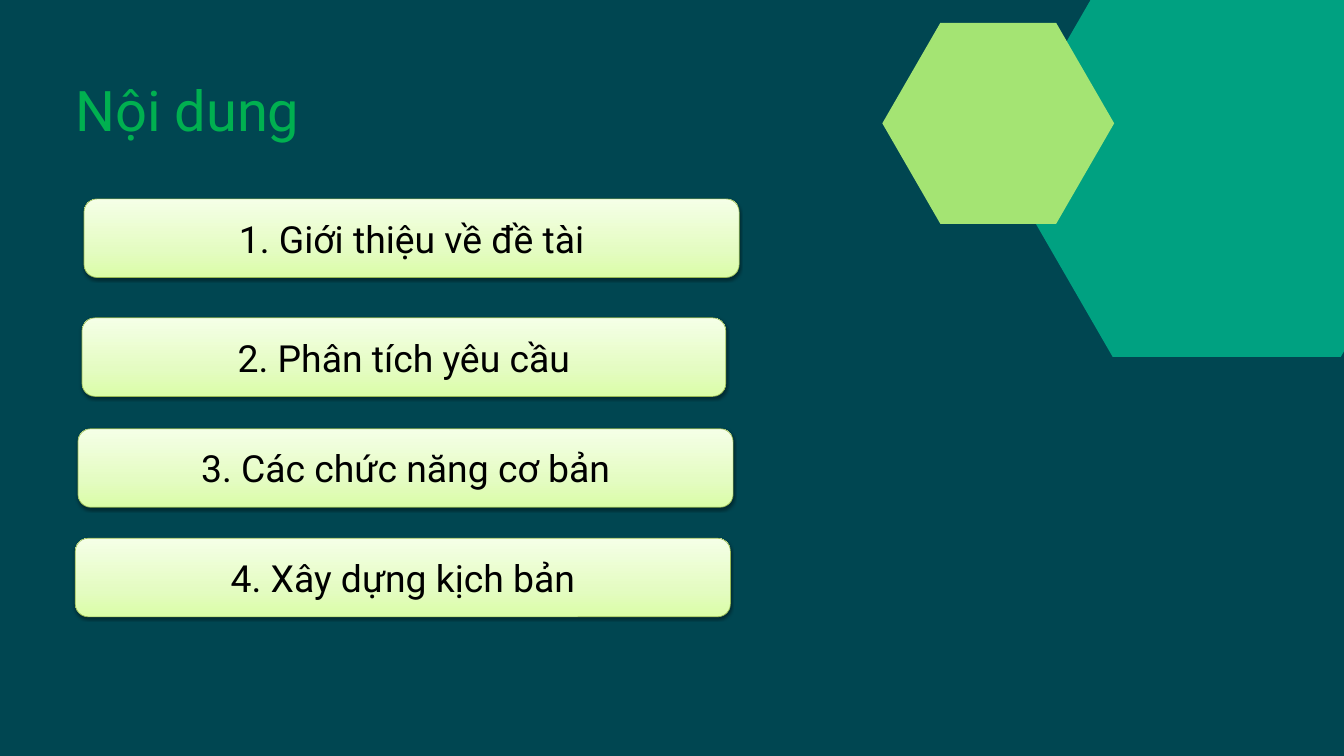
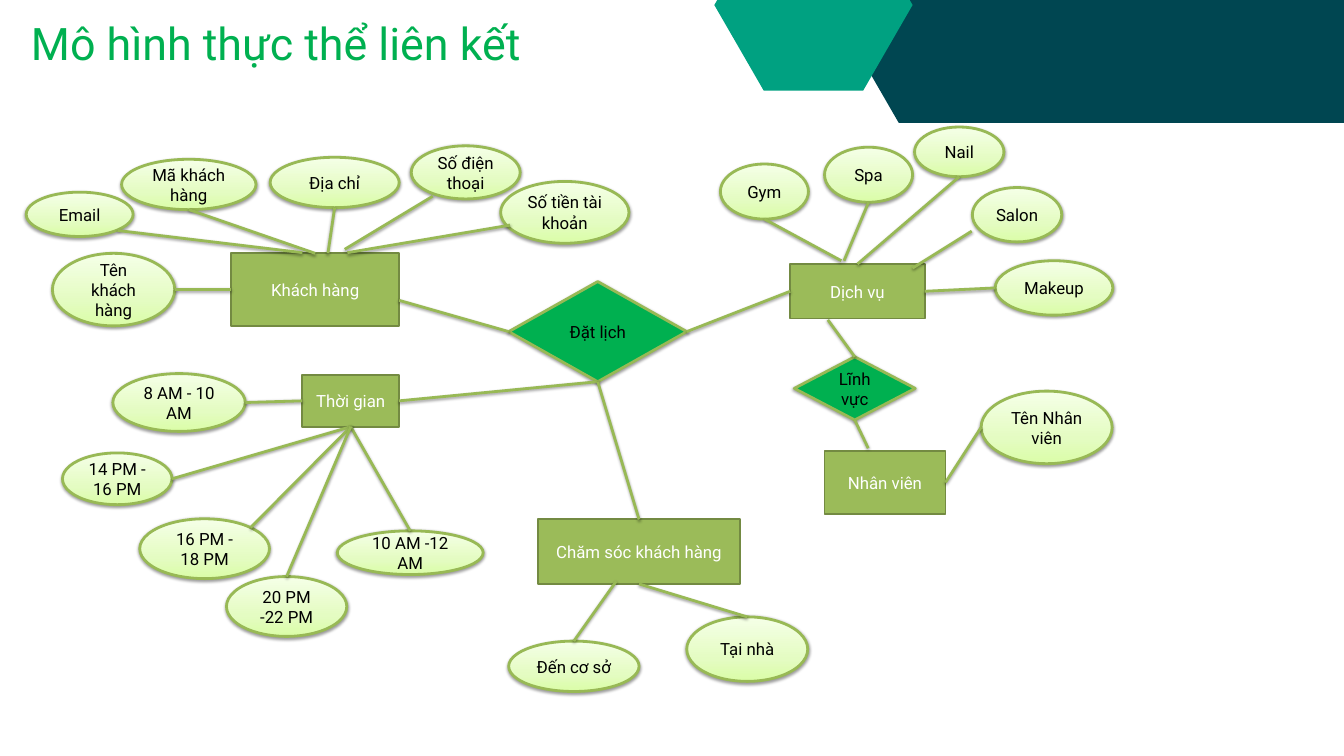
from copy import deepcopy
from math import sqrt

from pptx import Presentation
from pptx.dml.color import RGBColor
from pptx.enum.shapes import MSO_CONNECTOR, MSO_SHAPE as Shape
from pptx.enum.text import MSO_ANCHOR as Anchor, MSO_AUTO_SIZE as AutoSize, PP_ALIGN as Align
from pptx.oxml import parse_xml
from pptx.oxml.ns import nsdecls, qn
from pptx.util import Cm, Pt

FONT = "Roboto"
COLORS = {
    "night": "004651", "white": "FFFFFF", "black": "000000",
    "teal": "00A181", "lime": "A4E473", "green": "00B050",
    "olive": "9BBB59", "olive_edge": "738A42", "leaf_edge": "98B955",
}
LEAF_STOPS = [(0, "DAFDA7"), (0.35, "E4FCC2"), (1, "F5FFE7")]
SHADOW = (
    f'<a:effectLst {nsdecls("a")}>'
    '<a:outerShdw blurRad="40000" dist="20000" dir="5400000" rotWithShape="0">'
    '<a:srgbClr val="000000"><a:alpha val="38000"/></a:srgbClr>'
    '</a:outerShdw></a:effectLst>'
)
TOP, LEFT, BOTTOM, RIGHT = range(4)
SIDE_OFFSETS = {TOP: (0.5, 0), LEFT: (0, 0.5), BOTTOM: (0.5, 1), RIGHT: (1, 0.5)}


def color(name):
    return RGBColor.from_string(COLORS[name])


def inches(*values):
    return [Cm(2.54 * v) for v in values]


class Deck:
    def __init__(self):
        self.prs = Presentation()
        self.prs.slide_width, self.prs.slide_height = inches(20, 11.25)
        self.s = None
        self.nodes = {}

    def slide(self, background):
        self.s = self.prs.slides.add_slide(self.prs.slide_layouts[5])
        self.s.background.fill.solid()
        self.s.background.fill.fore_color.rgb = color(background)
        self.nodes = {}

    def label(self, tf, text, size, fill, align, anchor):
        tf.text = text
        tf.word_wrap = True
        tf.vertical_anchor = anchor
        p = tf.paragraphs[0]
        p.alignment = align
        font = p.runs[0].font
        font.name, font.size, font.color.rgb = FONT, Pt(size), color(fill)

    def title(self, text, box, size, margins=None):
        sp = self.s.shapes.title
        sp.left, sp.top, sp.width, sp.height = inches(*box)
        tf = sp.text_frame
        self.label(tf, text, size, "green", Align.LEFT, Anchor.TOP)
        tf.auto_size = AutoSize.NONE
        if margins is not None:
            tf.margin_left = tf.margin_top = tf.margin_right = tf.margin_bottom = margins

    def hexagon(self, x, y, w, h, fill):
        """Flat-topped hexagon with 60 degree slanted sides."""
        inset = h / sqrt(3) / 2
        right, middle, bottom = x + w, y + h / 2, y + h
        corners = [(right, middle), (right - inset, bottom), (x + inset, bottom),
                   (x, middle), (x + inset, y), (right - inset, y)]
        points = [inches(*corner) for corner in corners]
        builder = self.s.shapes.build_freeform(*points[0])
        builder.add_line_segments(points[1:], close=True)
        sp = builder.convert_to_shape()
        sp.shadow.inherit = False
        sp.fill.solid()
        sp.fill.fore_color.rgb = color(fill)
        sp.line.fill.background()

    def block(self, kind, text, box, size=18, fill=None, edge="leaf_edge",
              edge_width=3, ink="black", shadow=True):
        """Labelled shape; without a fill colour it gets the leaf gradient."""
        sp = self.s.shapes.add_shape(kind, *inches(*box))
        if fill:
            sp.fill.solid()
            sp.fill.fore_color.rgb = color(fill)
        else:
            self.leaf_fill(sp)
        sp.line.color.rgb, sp.line.width = color(edge), Pt(edge_width)
        if shadow:
            sp._element.spPr.append(parse_xml(SHADOW))
        else:
            sp.shadow.inherit = False
        self.label(sp.text_frame, text, size, ink, Align.CENTER, Anchor.MIDDLE)
        self.nodes[text] = sp

    def leaf_fill(self, sp):
        sp.fill.gradient()
        sp.fill.gradient_angle = 90
        stops = sp._element.spPr.find(".//" + qn("a:gsLst"))
        stops.insert(1, deepcopy(stops[0]))
        for stop, (position, hex_color) in zip(sp.fill.gradient_stops, LEAF_STOPS):
            stop.position = position
            stop.color.rgb = RGBColor.from_string(hex_color)

    def entity(self, text, box):
        self.block(Shape.RECTANGLE, text, box, fill="olive", edge="olive_edge",
                   edge_width=2, ink="white", shadow=False)

    def attribute(self, text, box):
        self.block(Shape.OVAL, text, box)

    def relation(self, kind, text, box):
        self.block(kind, text, box, fill="green")

    def locate(self, end):
        """Point of an end given as (x, y) or as (node text, side)."""
        if end[0] not in self.nodes:
            return inches(*end)
        sp = self.nodes[end[0]]
        dx, dy = SIDE_OFFSETS[end[1]]
        return [int(sp.left + dx * sp.width), int(sp.top + dy * sp.height)]

    def link(self, start, end):
        cx = self.s.shapes.add_connector(
            MSO_CONNECTOR.STRAIGHT, *self.locate(start), *self.locate(end))
        for (name, side), connect in ((start, cx.begin_connect), (end, cx.end_connect)):
            sp = self.nodes.get(name)
            if sp is not None and sp.auto_shape_type != Shape.OVAL:
                connect(sp, side)
        cx.line.color.rgb, cx.line.width = color("leaf_edge"), Pt(3)
        cx._element.spPr.append(parse_xml(SHADOW))


def contents_slide(deck):
    deck.slide("night")
    deck.hexagon(14.86, -0.57, 6.79, 5.88, "teal")
    deck.hexagon(13.13, 0.34, 3.45, 2.99, "lime")
    deck.title("Nội dung", (1.12, 1.12, 9.42, 1.01), 60, margins=0)
    for text, x, y, w in [
        ("1. Giới thiệu về đề tài", 1.25, 2.96, 9.75),
        ("2. Phân tích yêu cầu", 1.22, 4.73, 9.58),
        ("3. Các chức năng cơ bản", 1.16, 6.38, 9.75),
        ("4. Xây dựng kịch bản", 1.12, 8.01, 9.75),
    ]:
        deck.block(Shape.ROUNDED_RECTANGLE, text, (x, y, w, 1.17), size=40, edge_width=0.75)


def entity_slide(deck):
    deck.slide("white")
    deck.hexagon(11.41, -4.98, 10.74, 6.81, "night")
    deck.hexagon(10.63, -1.2, 2.95, 2.55, "teal")
    deck.title("Mô hình thực thể liên kết", (0.36, 0.19, 10.25, 1.72), 48)

    customer, care, staff = "Khách hàng", "Chăm sóc khách hàng", "Nhân viên"
    service, time = "Dịch vụ", "Thời gian"
    booking, field = "Đặt lịch", "Lĩnh vực"

    for text, *box in [
        (customer, 3.44, 3.77, 2.5, 1.08),
        (care, 8.01, 7.73, 3, 0.96),
        (staff, 12.27, 6.71, 1.8, 0.94),
        (service, 11.76, 3.93, 2, 0.81),
        (time, 4.5, 5.58, 1.44, 0.77),
    ]:
        deck.entity(text, box)

    for text, *box in [
        ("Mã khách hàng", 1.81, 2.37, 2, 0.75),
        ("Tên khách hàng", 0.78, 3.77, 1.82, 1.08),
        ("Địa chỉ", 4.02, 2.34, 1.92, 0.75),
        ("Số điện thoại", 6.12, 2.17, 1.62, 0.79),
        ("Số tiền tài khoản", 7.45, 2.7, 1.91, 0.92),
        ("Email", 0.39, 2.86, 1.59, 0.66),
        ("Gym", 10.72, 2.44, 1.31, 0.82),
        ("Spa", 12.27, 2.19, 1.31, 0.82),
        ("Nail", 13.61, 1.89, 1.33, 0.74),
        ("Salon", 14.47, 2.79, 1.33, 0.81),
        ("Makeup", 14.81, 3.88, 1.75, 0.81),
        ("Tên Nhân viên", 14.6, 5.82, 1.95, 1.08),
        ("Tại nhà", 10.22, 9.18, 1.8, 0.96),
        ("Đến cơ sở", 7.57, 9.54, 1.94, 0.75),
        ("8 AM - 10 AM", 1.68, 5.56, 1.97, 0.86),
        ("14 PM - 16 PM", 0.93, 6.74, 1.63, 0.77),
        ("16 PM - 18 PM", 2.08, 7.72, 1.93, 0.89),
        ("10 AM -12 AM", 5.02, 7.9, 2.17, 0.65),
        ("20 PM -22 PM", 3.37, 8.58, 1.79, 0.89),
    ]:
        deck.attribute(text, box)

    deck.relation(Shape.FLOWCHART_DECISION, booking, (7.57, 4.19, 2.65, 1.49))
    deck.relation(Shape.DIAMOND, field, (11.82, 5.31, 1.8, 0.94))

    for start, end in [
        (("Mã khách hàng", BOTTOM), (customer, TOP)),
        (("Tên khách hàng", RIGHT), (customer, LEFT)),
        (("Địa chỉ", BOTTOM), (4.88, 3.77)),
        ((6.44, 2.92), (5.13, 3.71)),
        ((7.59, 3.35), (5.17, 3.76)),
        ((1.75, 3.43), (4.5, 3.76)),
        (("Gym", BOTTOM), (12.52, 3.88)),
        (("Spa", BOTTOM), (12.56, 3.88)),
        (("Nail", BOTTOM), (service, TOP)),
        ((14.46, 3.44), (13.58, 3.99)),
        (("Makeup", LEFT), (service, RIGHT)),
        (("Tên Nhân viên", LEFT), (staff, RIGHT)),
        (("Đến cơ sở", TOP), (9.17, 8.65)),
        (("Tại nhà", TOP), (care, BOTTOM)),
        (("8 AM - 10 AM", RIGHT), (time, LEFT)),
        (("14 PM - 16 PM", RIGHT), (time, BOTTOM)),
        ((3.73, 7.85), (time, BOTTOM)),
        (("10 AM -12 AM", TOP), (time, BOTTOM)),
        (("20 PM -22 PM", TOP), (time, BOTTOM)),
        ((5.94, 4.47), (booking, LEFT)),
        ((service, LEFT), (booking, RIGHT)),
        ((time, RIGHT), (booking, BOTTOM)),
        ((booking, BOTTOM), (care, TOP)),
        ((12.32, 4.76), (field, TOP)),
        ((field, BOTTOM), (12.92, 6.67)),
    ]:
        deck.link(start, end)


def main():
    deck = Deck()
    contents_slide(deck)
    entity_slide(deck)
    deck.prs.save("out.pptx")


if __name__ == "__main__":
    main()
